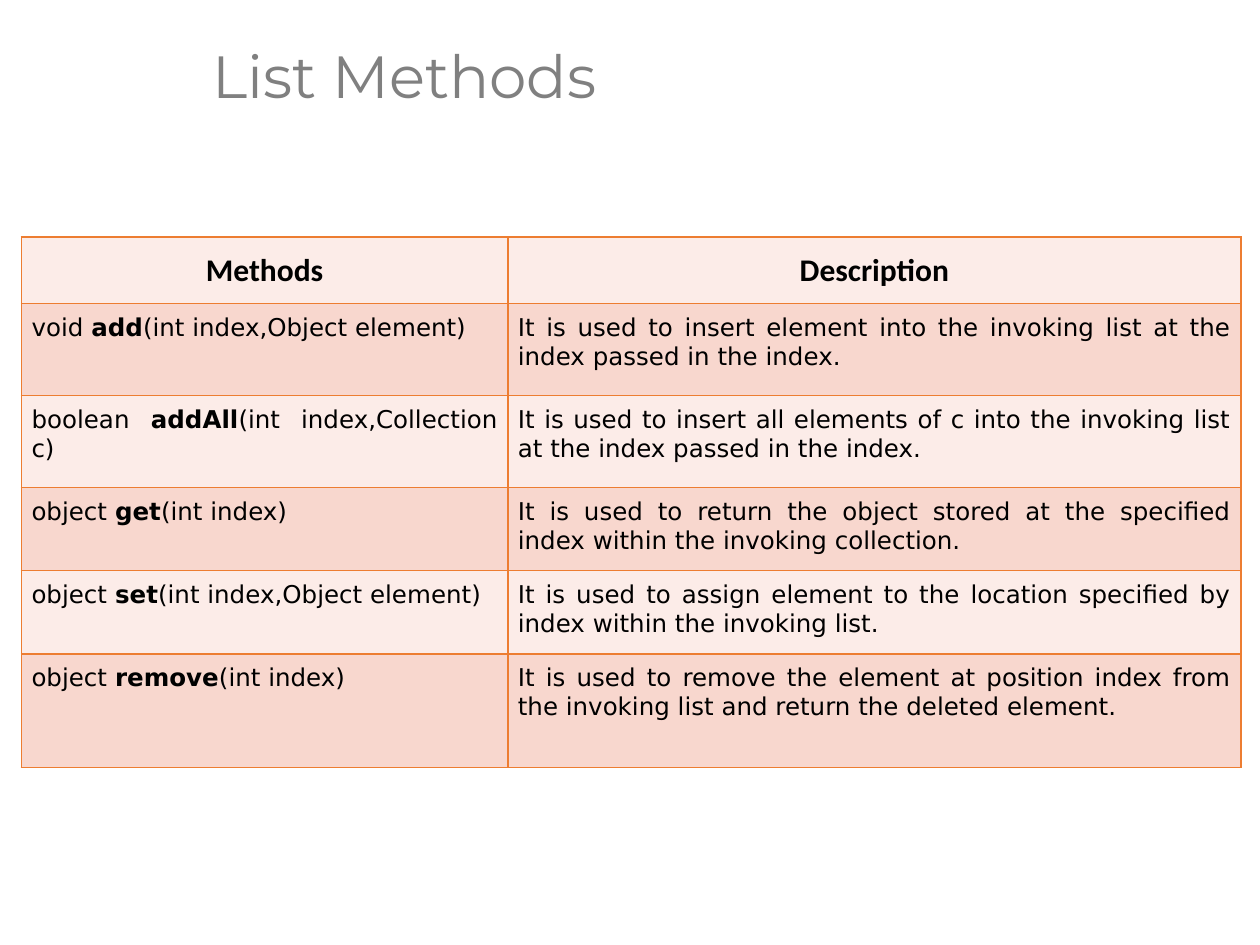
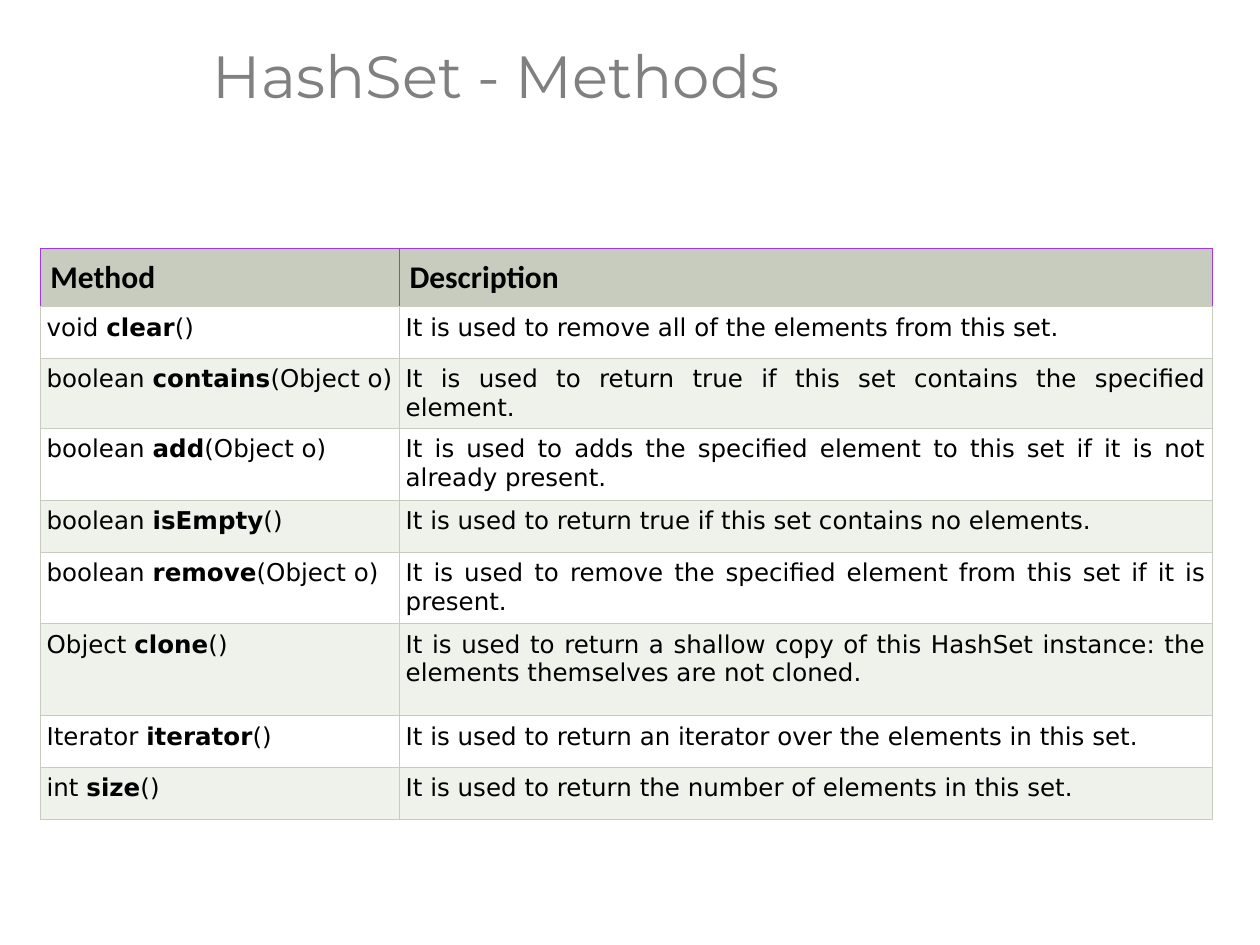
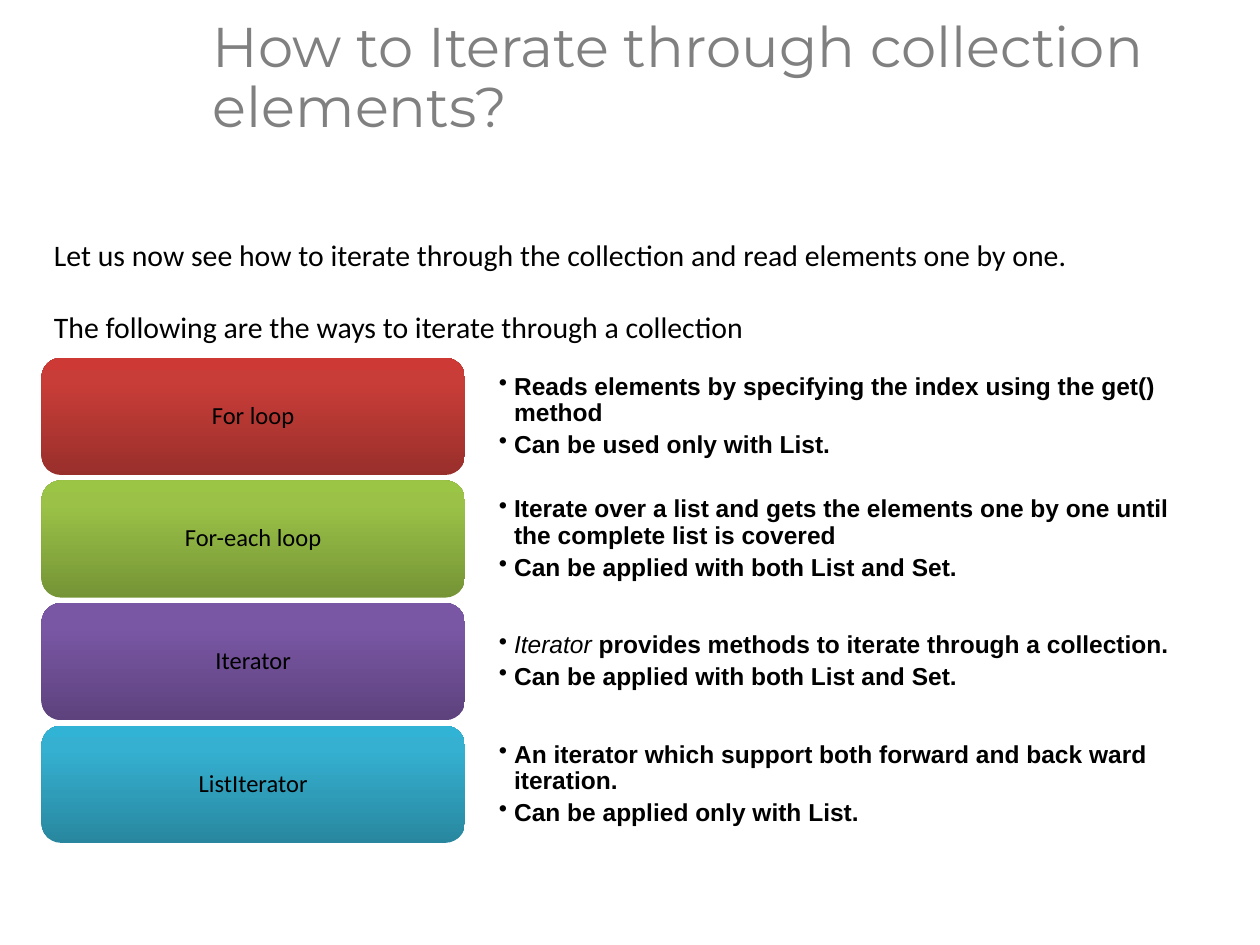
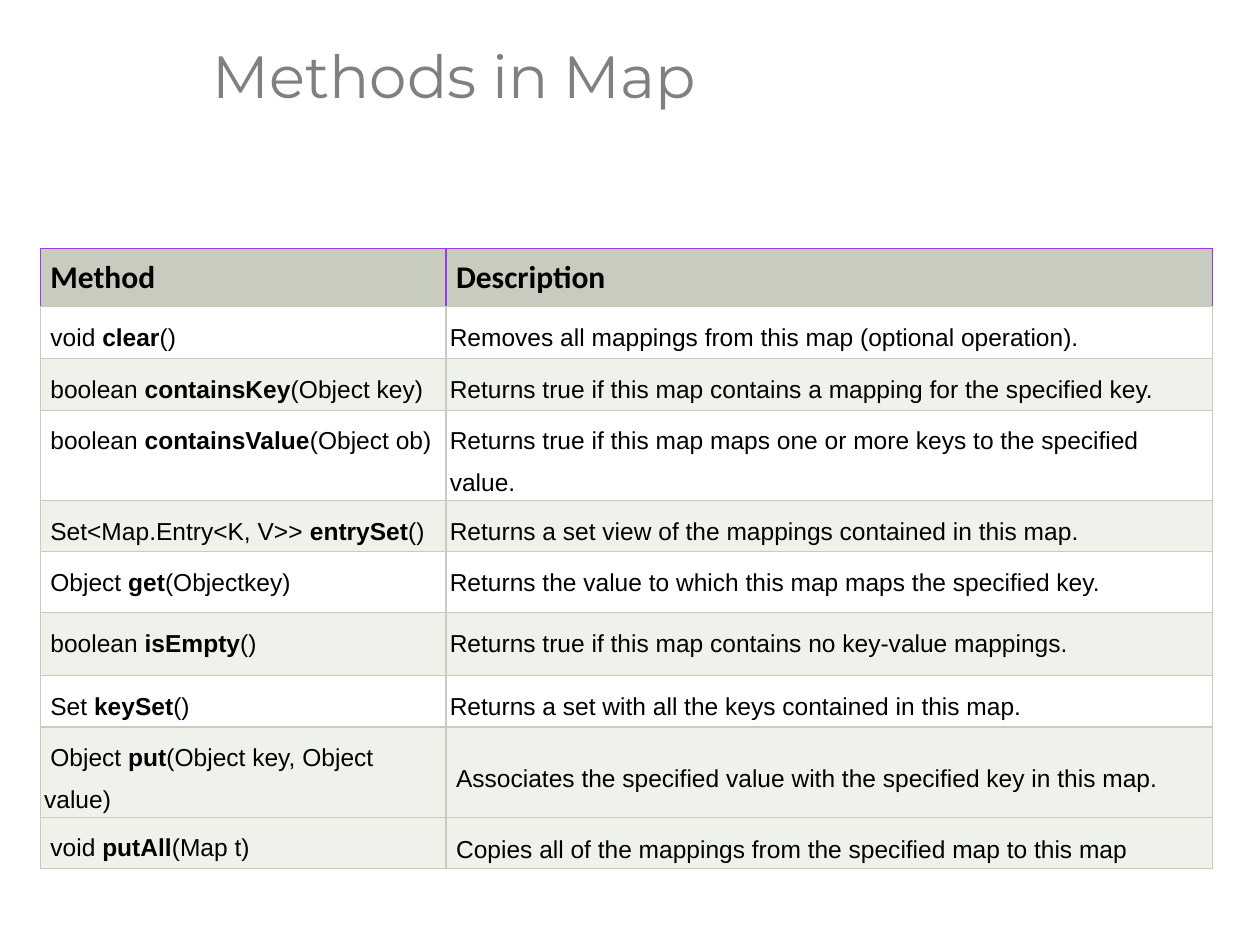
from copy import deepcopy
from dataclasses import dataclass

from lxml import etree
from pptx import Presentation
from pptx.dml.color import RGBColor
from pptx.enum.shapes import MSO_SHAPE
from pptx.enum.text import MSO_ANCHOR, MSO_AUTO_SIZE, PP_ALIGN
from pptx.oxml.ns import qn
from pptx.util import Inches, Pt

ROUNDED = MSO_SHAPE.ROUNDED_RECTANGLE
TOP, MIDDLE = MSO_ANCHOR.TOP, MSO_ANCHOR.MIDDLE
GROW = MSO_AUTO_SIZE.SHAPE_TO_FIT_TEXT
LEFT, CENTER, JUSTIFY = PP_ALIGN.LEFT, PP_ALIGN.CENTER, PP_ALIGN.JUSTIFY

BLACK = RGBColor(0x00, 0x00, 0x00)
WHITE = RGBColor(0xFF, 0xFF, 0xFF)
TITLE_GRAY = RGBColor(0x80, 0x80, 0x80)
ORANGE = RGBColor(0xED, 0x7D, 0x31)
PALE_ROSE = RGBColor(0xFC, 0xEC, 0xE8)
ROSE = RGBColor(0xF8, 0xD7, 0xCE)
SAGE = RGBColor(0xC7, 0xCC, 0xBE)
PALE_SAGE = RGBColor(0xEF, 0xF1, 0xEB)
VIOLET = RGBColor(0xA0, 0x38, 0xE8)
RED_STOPS = (RGBColor(0x99, 0x2F, 0x2B), RGBColor(0xC9, 0x3D, 0x38), RGBColor(0xCD, 0x3A, 0x35))
GREEN_STOPS = (RGBColor(0x75, 0x94, 0x36), RGBColor(0x9B, 0xC2, 0x47), RGBColor(0x9B, 0xC5, 0x45))
PURPLE_STOPS = (RGBColor(0x5D, 0x42, 0x7D), RGBColor(0x7A, 0x57, 0xA5), RGBColor(0x7A, 0x56, 0xA7))
BLUE_STOPS = (RGBColor(0x28, 0x87, 0x9F), RGBColor(0x35, 0xB0, 0xD1), RGBColor(0x31, 0xB3, 0xD5))
STOP_POSITIONS = (0, 0.8, 1)

TITLE_FONT, HEADER_FONT = "Montserrat", "Calibri"
WIDE_FONT, PLAIN_FONT = "DejaVu Sans", "Arial"


@dataclass
class TableLook:
    header_fill: RGBColor
    bands: tuple
    line: RGBColor
    line_width: float
    header_line: RGBColor
    body_font: str
    body_inset: float
    body_align: PP_ALIGN
    body_spacing: float = 1.0
    header_inset: float = None
    header_align: PP_ALIGN = LEFT
    header_anchor: MSO_ANCHOR = TOP


def style_font(font, name, size, color=BLACK, bold=False, italic=False):
    font.name, font.size = name, Pt(size)
    font.bold, font.italic = bold, italic
    font.color.rgb = color


def write_spans(para, text, name, size, bold=False, mark="bold"):
    for index, piece in enumerate(text.split("*")):
        if piece:
            span = para.add_run()
            span.text = piece
            marked = index % 2 == 1
            style_font(span.font, name, size,
                       bold=marked != bold if mark == "bold" else bold and not marked,
                       italic=marked and mark == "italic")


def set_insets(target, horizontal, vertical):
    target.margin_left = target.margin_right = Inches(horizontal)
    target.margin_top = target.margin_bottom = Inches(vertical)


def set_borders(cell, width, colors):
    properties = cell._tc.get_or_add_tcPr()
    for side, color in zip("LRTB", colors):
        line = etree.SubElement(properties, qn(f"a:ln{side}"), w=str(Pt(width)))
        fill = etree.SubElement(line, qn("a:solidFill"))
        etree.SubElement(fill, qn("a:srgbClr"), val=str(color))


def set_indent(para, margin, first_line):
    properties = para._p.get_or_add_pPr()
    properties.set("marL", str(Inches(margin)))
    properties.set("indent", str(Inches(first_line)))
    return properties


def indent_cell(cell):
    set_indent(cell.text_frame.paragraphs[0], 0, 0.05)


class Deck:
    def __init__(self):
        self.file = Presentation()
        self.file.slide_width, self.file.slide_height = Inches(10), Inches(7.5)
        self.page = None

    def add_page(self, title, size=34):
        self.page = self.file.slides.add_slide(self.file.slide_layouts[5])
        box = self.page.shapes.title
        box.left, box.top = Inches(1.59), Inches(0.01)
        box.width, box.height = Inches(8.41), Inches(1.24)
        frame = box.text_frame
        frame.text = title
        frame.word_wrap = True
        frame.vertical_anchor = MIDDLE
        para = frame.paragraphs[0]
        para.alignment, para.line_spacing = LEFT, 0.9
        style_font(para.runs[0].font, TITLE_FONT, size, TITLE_GRAY)

    def add_table(self, left, top, widths, heights, header, rows, look):
        frame = self.page.shapes.add_table(
            len(heights), len(widths), Inches(left), Inches(top),
            Inches(sum(widths)), Inches(sum(heights)))
        table = frame.table
        table.horz_banding = False
        for column, width in zip(table.columns, widths):
            column.width = Inches(width)
        for row, height in zip(table.rows, heights):
            row.height = Inches(height)
        for cell, text in zip(table.rows[0].cells, header):
            self.fill_header(cell, text, look)
        for index, texts in enumerate(rows, 1):
            for cell, text in zip(table.rows[index].cells, texts):
                self.fill_body(cell, text, look.bands[index - 1], look)
        return table

    def fill_header(self, cell, text, look):
        set_borders(cell, look.line_width, [look.header_line] * 3 + [look.line])
        cell.fill.solid()
        cell.fill.fore_color.rgb = look.header_fill
        cell.vertical_anchor = look.header_anchor
        if look.header_inset:
            set_insets(cell, look.header_inset, look.header_inset)
        para = cell.text_frame.paragraphs[0]
        para.text = text
        para.alignment = look.header_align
        style_font(para.runs[0].font, HEADER_FONT, 18, bold=True)

    def fill_body(self, cell, text, band, look):
        set_borders(cell, look.line_width, [look.line] * 4)
        cell.fill.solid()
        cell.fill.fore_color.rgb = band
        set_insets(cell, look.body_inset, look.body_inset)
        para = cell.text_frame.paragraphs[0]
        para.alignment = look.body_align
        para.line_spacing = look.body_spacing
        write_spans(para, text, look.body_font, 14)

    def add_intro(self, left, top, width, height, lines):
        box = self.page.shapes.add_textbox(Inches(left), Inches(top), Inches(width), Inches(height))
        frame = box.text_frame
        frame.word_wrap = True
        frame.auto_size = GROW
        frame.text = "\n".join(lines)
        for index, para in enumerate(frame.paragraphs):
            if index:
                para.space_before = Pt(20.7)
            style_font(para.runs[0].font, HEADER_FONT, 17)

    def add_label(self, left, top, width, height, text, colors):
        box = self.page.shapes.add_shape(ROUNDED, left, top, width, height)
        box.shadow.inherit = False
        box.line.fill.background()
        box.fill.gradient()
        box.fill.gradient_angle = 90
        stop_list = box._element.spPr.find(".//" + qn("a:gsLst"))
        stop_list.insert(1, deepcopy(stop_list[0]))
        for stop, position, color in zip(box.fill.gradient_stops, STOP_POSITIONS, colors):
            stop.position = position
            stop.color.rgb = color
        frame = box.text_frame
        frame.text = text
        frame.word_wrap = True
        frame.vertical_anchor = MIDDLE
        set_insets(frame, 0.06, 0.03)
        para = frame.paragraphs[0]
        para.alignment, para.line_spacing = CENTER, 0.9
        style_font(para.runs[0].font, HEADER_FONT, 14)

    def add_bullets(self, left, top, width, height, lines):
        frame = self.page.shapes.add_textbox(left, top, width, height).text_frame
        frame.word_wrap = True
        frame.vertical_anchor = MIDDLE
        set_insets(frame, 0.27, 0.14)
        for index, line in enumerate(lines):
            para = frame.add_paragraph() if index else frame.paragraphs[0]
            para.level = 1
            para.line_spacing, para.space_after = 0.9, Pt(3)
            properties = set_indent(para, 0.12, -0.12)
            etree.SubElement(properties, qn("a:buChar"), char="•")
            write_spans(para, line, PLAIN_FONT, 14, bold=True, mark="italic")


LIST_METHODS = [
    ("void *add*(int index,Object element)",
     "It is used to insert element into the invoking list at the index passed in the index."),
    ("boolean *addAll*(int index,Collection c)",
     "It is used to insert all elements of c into the invoking list at the index passed in the index."),
    ("object *get*(int index)",
     "It is used to return the object stored at the specified index within the invoking collection."),
    ("object *set*(int index,Object element)",
     "It is used to assign element to the location specified by index within the invoking list."),
    ("object *remove*(int index)",
     "It is used to remove the element at position index from the invoking list and return the deleted element."),
]

HASHSET_METHODS = [
    ("void *clear*()", "It is used to remove all of the elements from this set."),
    ("boolean *contains*(Object o)",
     "It is used to return true if this set contains the specified element."),
    ("boolean *add*(Object o)",
     "It is used to adds the specified element to this set if it is not already present."),
    ("boolean *isEmpty*()", "It is used to return true if this set contains no elements."),
    ("boolean *remove*(Object o)",
     "It is used to remove the specified element from this set if it is present."),
    ("Object *clone*()",
     "It is used to return a shallow copy of this HashSet instance: the elements themselves are not cloned."),
    ("Iterator *iterator*()", "It is used to return an iterator over the elements in this set."),
    ("int *size*()", "It is used to return the number of elements in this set."),
]

MAP_METHODS = [
    ("void *clear*()", "Removes all mappings from this map (optional operation)."),
    ("boolean *containsKey*(Object key)",
     "Returns true if this map contains a mapping for the specified key."),
    ("boolean *containsValue*(Object ob)",
     "Returns true if this map maps one or more keys to the specified value."),
    ("Set<Map.Entry<K, V>> *entrySet*()",
     "Returns a set view of the mappings contained in this map."),
    ("Object *get*(Objectkey)", "Returns the value to which this map maps the specified key."),
    ("boolean *isEmpty*()", "Returns true if this map contains no key-value mappings."),
    ("Set *keySet*()", "Returns a set with all the keys contained in this map."),
    ("Object *put*(Object key, Object value)",
     "Associates the specified value with the specified key in this map."),
    ("void *putAll*(Map t)", "Copies all of the mappings from the specified map to this map"),
]

ITERATION_WAYS = [
    ("For loop", RED_STOPS,
     ["Reads elements by specifying the index using the get() method",
      "Can be used only with List."]),
    ("For-each loop", GREEN_STOPS,
     ["Iterate over a list and gets the elements one by one until the complete list is covered",
      "Can be applied with both List and Set."]),
    ("Iterator", PURPLE_STOPS,
     ["*Iterator* provides methods to iterate through a collection.",
      "Can be applied with both List and Set."]),
    ("ListIterator", BLUE_STOPS,
     ["An iterator which support both forward and back ward iteration.",
      "Can be applied only with List."]),
]

ROSE_LOOK = TableLook(PALE_ROSE, (ROSE, PALE_ROSE) * 3, ORANGE, 1, ORANGE,
                      WIDE_FONT, 0.08, JUSTIFY,
                      header_align=CENTER, header_anchor=MIDDLE)
SET_LOOK = TableLook(SAGE, (WHITE, PALE_SAGE) * 4, SAGE, 0.75, VIOLET,
                     WIDE_FONT, 0.05, JUSTIFY, header_inset=0.08)
MAP_LOOK = TableLook(SAGE, (WHITE, PALE_SAGE) * 4 + (PALE_SAGE,), SAGE, 0.75, VIOLET,
                     PLAIN_FONT, 0.03, LEFT, body_spacing=1.5, header_inset=0.08)


def build_iteration_page(deck):
    deck.add_page("How to Iterate through collection elements?", 32)
    deck.add_intro(0.33, 1.83, 9.3, 0.96, [
        "Let us now see how to iterate through the collection and read elements one by one.",
        "The following are the ways to iterate through a collection"])
    left, first_top, step = Inches(0.33), Inches(2.84), Inches(2.92) // 3
    label_width, label_height = Inches(3.36), Inches(0.93)
    bullet_height = Inches(0.67)
    for index, (name, colors, lines) in enumerate(ITERATION_WAYS):
        top = first_top + index * step
        deck.add_bullets(left + label_width, top + (label_height - bullet_height) // 2,
                         Inches(5.94), bullet_height, lines)
        deck.add_label(left, top, label_width, label_height, name, colors)


def build_map_page(deck):
    deck.add_page("Methods in Map")
    table = deck.add_table(0.32, 1.97, [3.22, 6.08],
                           [0.3, 0.41, 0.41, 0.49, 0.41, 0.48, 0.5, 0.41, 0.41, 0.41],
                           ["Method", "Description"], MAP_METHODS, MAP_LOOK)
    last = len(MAP_METHODS)
    for row in range(1, last + 1):
        indent_cell(table.cell(row, 0))
    for row in (last - 1, last):
        indent_cell(table.cell(row, 1))
        table.cell(row, 1).vertical_anchor = MIDDLE


def main():
    deck = Deck()
    deck.add_page("List Methods")
    deck.add_table(0.17, 1.88, [3.86, 5.82], [0.53, 0.73, 0.73, 0.66, 0.66, 0.9],
                   ["Methods", "Description"], LIST_METHODS, ROSE_LOOK)
    deck.add_page("HashSet - Methods")
    deck.add_table(0.32, 1.97, [2.85, 6.45],
                   [0.3, 0.41, 0.41, 0.57, 0.41, 0.57, 0.73, 0.41, 0.41],
                   ["Method", "Description"], HASHSET_METHODS, SET_LOOK)
    build_iteration_page(deck)
    build_map_page(deck)
    deck.file.save("out.pptx")


if __name__ == "__main__":
    main()
